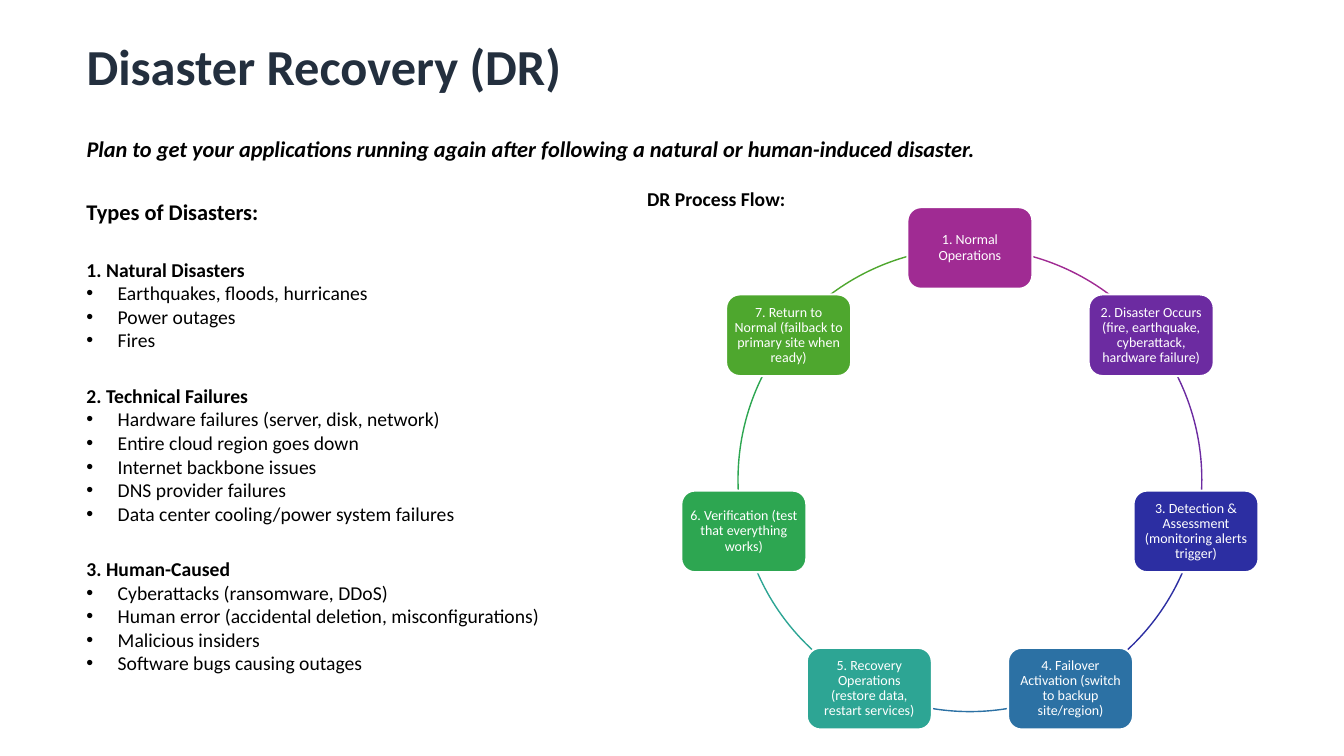
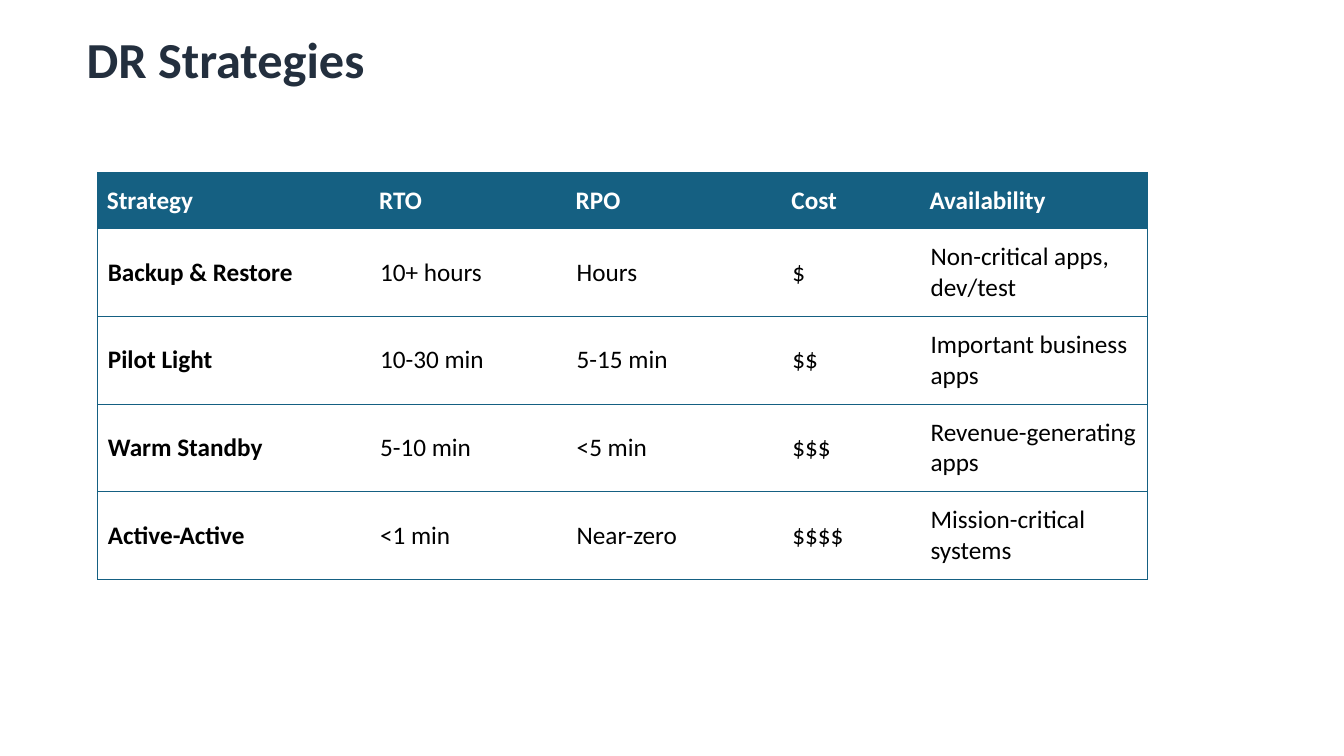
"""Build two slides on disaster recovery: an overview and a strategy table."""
from dataclasses import dataclass
from math import cos, radians, sin
from typing import Optional

from lxml.etree import SubElement
from pptx import Presentation
from pptx.dml.color import RGBColor
from pptx.enum.shapes import MSO_SHAPE as Preset
from pptx.enum.text import MSO_ANCHOR as Anchor, MSO_AUTO_SIZE as AutoSize, PP_ALIGN as Align
from pptx.oxml.ns import qn
from pptx.slide import Slide
from pptx.table import _Cell as Cell
from pptx.text.text import TextFrame, _Paragraph as Paragraph
from pptx.util import Inches, Pt

FONT = "Calibri"
NAVY = RGBColor(0x23, 0x2F, 0x3E)
TEAL = RGBColor(0x15, 0x60, 0x82)
BLACK = RGBColor(0x00, 0x00, 0x00)
WHITE = RGBColor(0xFF, 0xFF, 0xFF)
LEFT = 0.76
PLAIN_TABLE_STYLE = "{2D5ABB26-0587-4C30-8999-92F81FD0307C}"

RING_X, RING_Y, RING_RADIUS = 9.62, 4.76, 2.3
STEP_WIDTH, STEP_HEIGHT = 1.24, 0.81


@dataclass(frozen=True)
class Line:
    """One paragraph and its style."""

    text: str
    size: float = 14
    bold: bool = False
    italic: bool = False
    color: RGBColor = BLACK
    bullet: bool = False
    space_before: float = 0
    line_spacing: Optional[float] = None
    align: Align = Align.LEFT


@dataclass(frozen=True)
class DisasterType:
    """A heading with its examples."""

    name: str
    examples: tuple[str, ...]


@dataclass(frozen=True)
class Step:
    """One step of the recovery ring."""

    text: str
    color: RGBColor


DISASTER_TYPES = (
    DisasterType("1. Natural Disasters", (
        "Earthquakes, floods, hurricanes", "Power outages", "Fires")),
    DisasterType("2. Technical Failures", (
        "Hardware failures (server, disk, network)",
        "Entire cloud region goes down",
        "Internet backbone issues",
        "DNS provider failures",
        "Data center cooling/power system failures")),
    DisasterType("3. Human-Caused", (
        "Cyberattacks (ransomware, DDoS)",
        "Human error (accidental deletion, misconfigurations)",
        "Malicious insiders",
        "Software bugs causing outages")),
)

STEPS = (
    Step("1. Normal Operations", RGBColor(0xA0, 0x2B, 0x93)),
    Step("2. Disaster Occurs (fire, earthquake, cyberattack, hardware failure)",
         RGBColor(0x6C, 0x2B, 0xA1)),
    Step("3. Detection & Assessment (monitoring alerts trigger)", RGBColor(0x2C, 0x2E, 0xA2)),
    Step("4. Failover Activation (switch to backup site/region)", RGBColor(0x2C, 0x71, 0xA4)),
    Step("5. Recovery Operations (restore data, restart services)",
         RGBColor(0x2D, 0xA5, 0x94)),
    Step("6. Verification (test that everything works)", RGBColor(0x2D, 0xA6, 0x51)),
    Step("7. Return to Normal (failback to primary site when ready)",
         RGBColor(0x4E, 0xA7, 0x2E)),
)

STRATEGIES = (
    ("Strategy", "RTO", "RPO", "Cost", "Availability"),
    ("Backup & Restore", "10+ hours", "Hours", "$", "Non-critical apps, dev/test"),
    ("Pilot Light", "10-30 min", "5-15 min", "$$", "Important business apps"),
    ("Warm Standby", "5-10 min", "<5 min", "$$$", "Revenue-generating apps"),
    ("Active-Active", "<1 min", "Near-zero", "$$$$", "Mission-critical systems"),
)
COLUMN_WIDTHS = (2.7, 1.95, 2.14, 1.37, 2.25)
HEADER_HEIGHT, ROW_HEIGHT = 0.56, 0.87


def add_bullet(paragraph: Paragraph) -> None:
    """Give the paragraph a hanging round bullet."""
    properties = paragraph._p.get_or_add_pPr()
    properties.set("marL", str(Inches(0.31)))
    properties.set("indent", str(-Inches(0.31)))
    SubElement(properties, qn("a:buFont")).set("typeface", "Arial")
    SubElement(properties, qn("a:buChar")).set("char", "•")


def write_lines(frame: TextFrame, *lines: Line) -> None:
    """Fill the text frame with one paragraph per line."""
    frame.word_wrap = True
    for index, line in enumerate(lines):
        paragraph = frame.add_paragraph() if index else frame.paragraphs[0]
        paragraph.text = line.text
        paragraph.alignment = line.align
        if line.bullet:
            add_bullet(paragraph)
        if line.space_before:
            paragraph.space_before = Pt(line.space_before)
        if line.line_spacing:
            paragraph.line_spacing = line.line_spacing
        font = paragraph.font
        font.name, font.size = FONT, Pt(line.size)
        font.bold, font.italic = line.bold, line.italic
        font.color.rgb = line.color


def add_text(slide: Slide, left: float, top: float, width: float, height: float,
             *lines: Line) -> None:
    """Add a text box that grows with its lines."""
    box = slide.shapes.add_textbox(Inches(left), Inches(top), Inches(width), Inches(height))
    write_lines(box.text_frame, *lines)
    box.text_frame.auto_size = AutoSize.SHAPE_TO_FIT_TEXT


def add_title(slide: Slide, text: str, height: float,
              line_spacing: Optional[float] = None) -> None:
    """Add the slide title."""
    add_text(slide, LEFT, 0.3, 11.79, height,
             Line(text, 36, bold=True, color=NAVY, line_spacing=line_spacing))


def add_arc(slide: Slide, start: float, end: float, color: RGBColor) -> None:
    """Add the part of the ring between two angles in degrees."""
    arc = slide.shapes.add_shape(
        Preset.ARC, Inches(RING_X - RING_RADIUS), Inches(RING_Y - RING_RADIUS),
        Inches(2 * RING_RADIUS), Inches(2 * RING_RADIUS))
    for index, angle in enumerate((start, end)):
        arc.adjustments[index] = angle % 360 * 0.6
    arc.shadow.inherit = False
    arc.fill.background()
    arc.line.color.rgb = color
    arc.line.width = Pt(1)


def add_step(slide: Slide, step: Step, angle: float) -> None:
    """Add a step box centred on the ring."""
    center_x = RING_X + RING_RADIUS * cos(radians(angle))
    center_y = RING_Y + RING_RADIUS * sin(radians(angle))
    box = slide.shapes.add_shape(
        Preset.ROUNDED_RECTANGLE, Inches(center_x - STEP_WIDTH / 2),
        Inches(center_y - STEP_HEIGHT / 2), Inches(STEP_WIDTH), Inches(STEP_HEIGHT))
    box.shadow.inherit = False
    box.fill.solid()
    box.fill.fore_color.rgb = step.color
    box.line.color.rgb = WHITE
    box.line.width = Pt(1.5)
    frame = box.text_frame
    frame.margin_left = frame.margin_right = Inches(0.04)
    frame.margin_top = frame.margin_bottom = Inches(0.04)
    frame.vertical_anchor = Anchor.MIDDLE
    write_lines(frame, Line(step.text, 10, color=WHITE, line_spacing=0.9, align=Align.CENTER))


def add_ring(slide: Slide) -> None:
    """Draw the arcs, then the step boxes over their ends."""
    turn = 360 / len(STEPS)
    angles = [index * turn - 90 for index in range(len(STEPS))]
    for step, angle in zip(STEPS, angles):
        add_arc(slide, angle, angle + turn, step.color)
    for step, angle in zip(STEPS, angles):
        add_step(slide, step, angle)


def add_borders(cell: Cell, *sides: str) -> None:
    """Draw the named cell borders."""
    properties = cell._tc.get_or_add_tcPr()
    for side in sides:
        border = SubElement(properties, qn(f"a:ln{side}"), w=str(Pt(1)))
        fill = SubElement(border, qn("a:solidFill"))
        SubElement(fill, qn("a:srgbClr"), val=str(TEAL))


def add_strategy_table(slide: Slide) -> None:
    """Add the table that compares the strategies."""
    heights = [HEADER_HEIGHT] + [ROW_HEIGHT] * (len(STRATEGIES) - 1)
    frame = slide.shapes.add_table(
        len(STRATEGIES), len(COLUMN_WIDTHS), Inches(0.97), Inches(1.71),
        Inches(sum(COLUMN_WIDTHS)), Inches(sum(heights)))
    frame.element.find(f".//{qn('a:tableStyleId')}").text = PLAIN_TABLE_STYLE
    table = frame.table
    for column, width in zip(table.columns, COLUMN_WIDTHS):
        column.width = Inches(width)
    last = len(COLUMN_WIDTHS) - 1
    for row_index, (texts, height) in enumerate(zip(STRATEGIES, heights)):
        table.rows[row_index].height = Inches(height)
        header = row_index == 0
        for column_index, text in enumerate(texts):
            cell = table.cell(row_index, column_index)
            outer = {0: ("L",), last: ("R",)}.get(column_index, ())
            add_borders(cell, *outer, "T", "B")
            cell.fill.solid()
            cell.fill.fore_color.rgb = TEAL if header else WHITE
            cell.vertical_anchor = Anchor.MIDDLE
            if header:
                cell.margin_left = cell.margin_right = Inches(0.09)
            write_lines(cell.text_frame, Line(
                text, 18, bold=header or column_index == 0,
                color=WHITE if header else BLACK))


def build_overview(slide: Slide) -> None:
    """Build the slide with disaster types and the recovery ring."""
    add_title(slide, "Disaster Recovery (DR)", 0.71)
    add_text(slide, LEFT, 1.29, 10.95, 0.37, Line(
        "Plan to get your applications running again after following "
        "a natural or human-induced disaster.", 16, bold=True, italic=True))
    lines = [Line("Types of Disasters:", 16, bold=True)]
    for disaster in DISASTER_TYPES:
        lines.append(Line(disaster.name, bold=True, space_before=23))
        lines.extend(Line(example, bullet=True) for example in disaster.examples)
    add_text(slide, LEFT, 1.92, 5.1, 4.86, *lines)
    add_text(slide, 6.32, 1.81, 6.33, 0.34, Line("DR Process Flow:", bold=True))
    add_ring(slide)


def build_strategies(slide: Slide) -> None:
    """Build the slide with the strategy table."""
    add_title(slide, "DR Strategies", 0.65, line_spacing=0.9)
    add_strategy_table(slide)


def main() -> None:
    """Create and save the presentation."""
    presentation = Presentation()
    presentation.slide_width, presentation.slide_height = Inches(13.33), Inches(7.5)
    blank = presentation.slide_layouts[6]
    for build in (build_overview, build_strategies):
        build(presentation.slides.add_slide(blank))
    presentation.save("out.pptx")


if __name__ == "__main__":
    main()
